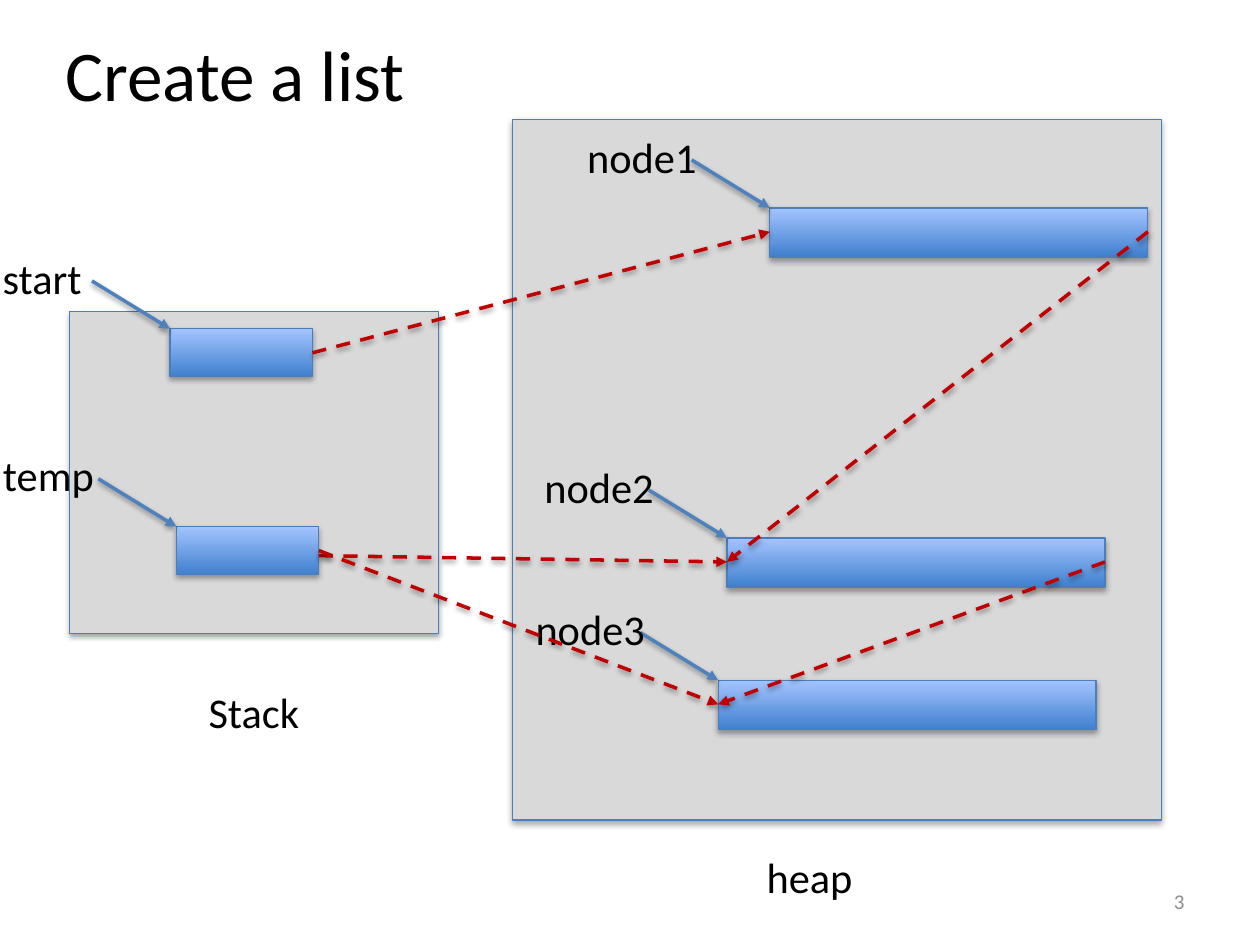
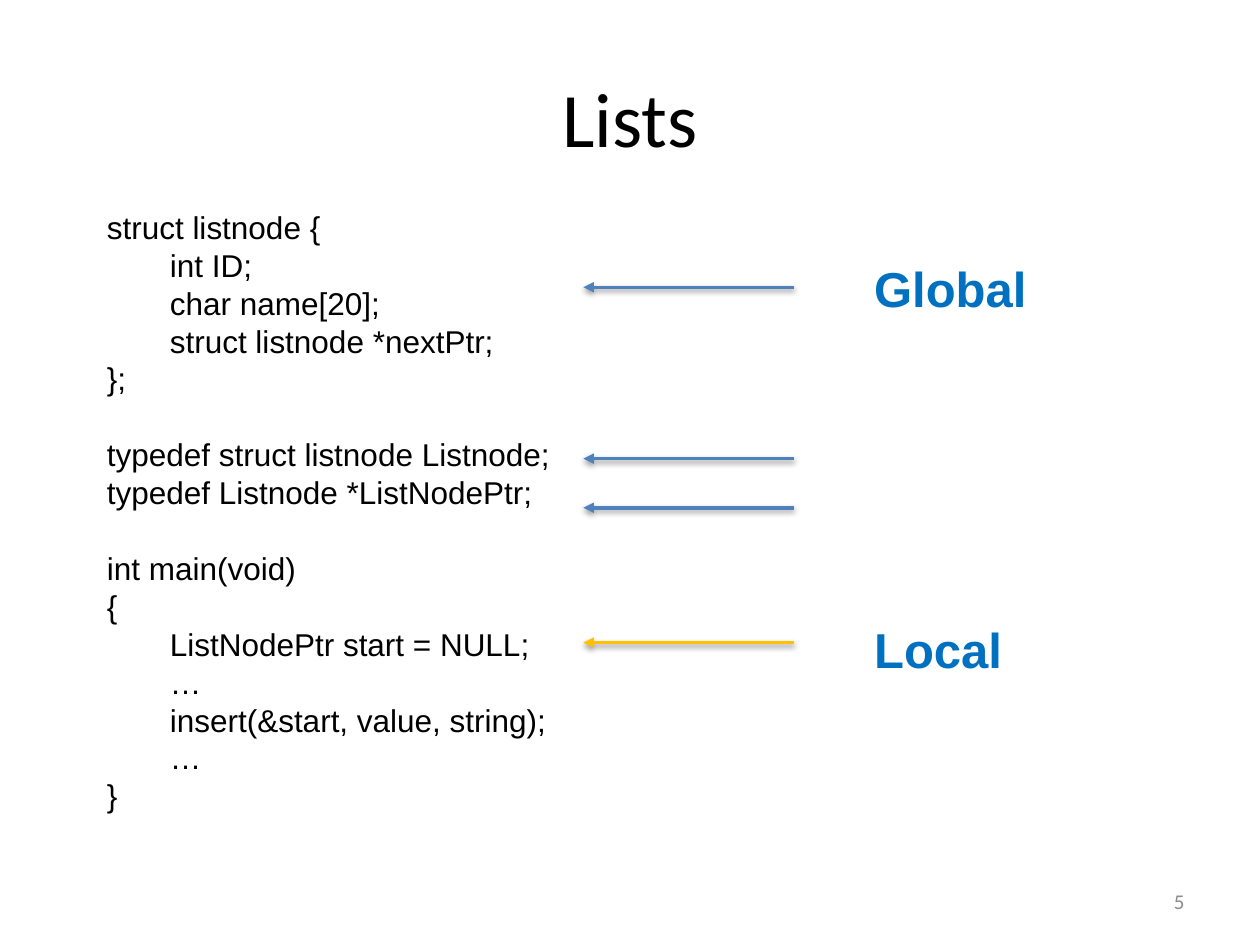
"""Two slides on linked lists: a memory diagram and the C declarations."""
from lxml.etree import SubElement
from pptx import Presentation
from pptx.dml.color import RGBColor
from pptx.enum.dml import MSO_LINE
from pptx.enum.shapes import MSO_CONNECTOR, MSO_SHAPE
from pptx.enum.text import MSO_ANCHOR, PP_ALIGN
from pptx.oxml.ns import qn
from pptx.util import Pt

PX = 9144
BLACK, GREY, PANEL = "000000", "8C8C8C", "D9D9D9"
EDGE, DARK, LIGHT = "4B7EBC", "3F80CE", "A4C4FF"
BLUE, RED, GOLD, TAG = "4F81BD", "C00000", "FFC000", "0070C0"
LEFT, MID, RIGHT = PP_ALIGN.LEFT, PP_ALIGN.CENTER, PP_ALIGN.RIGHT

AREAS = [
    ("heap", (407, 95, 515, 556), (515, 672, 255, 47)),
    ("Stack", (55, 247, 293, 256), (74, 541, 255, 47)),
]
SIZES = {"var": (113, 38), "node": (300, 39)}
CELLS = {
    "start": ("var", 135, 261),
    "temp": ("var", 140, 418),
    "node1": ("node", 611, 165),
    "node2": ("node", 577, 427),
    "node3": ("node", 570, 540),
}
LINKS = [
    ("start", "node1", 0),
    ("temp", "node2", 4),
    ("node1", "node2", 0),
    ("temp", "node3", 0),
    ("node2", "node3", 0),
]

CODE = [
    [(0, "struct listnode {"), (1, "int ID;"), (1, "char name[20];"),
     (1, "struct listnode *nextPtr;"), (0, "};")],
    [(0, "typedef struct listnode Listnode;"),
     (0, "typedef Listnode *ListNodePtr;")],
    [(0, "int main(void)"), (0, "{"), (1, "ListNodePtr start = NULL;"),
     (1, "…"), (1, "insert(&start, value, string);"), (1, "…"), (0, "}")],
]
LEAD = Pt(21.65)
MARKS = [(228, BLUE), (364, BLUE), (403, BLUE), (510, GOLD)]
SCOPES = [("Global", (684, 200, 216, 127)), ("Local", (684, 487, 204, 91))]


def tint(code):
    return RGBColor.from_string(code)


def emu(*nums):
    return [num * PX for num in nums]


def style(par, size, color, font, bold=False):
    for run in par.runs:
        run.font.size, run.font.name, run.font.bold = Pt(size), font, bold
        run.font.color.rgb = tint(color)


def frame(slide, area, anchor):
    body = slide.shapes.add_textbox(*emu(*area)).text_frame
    body.word_wrap, body.vertical_anchor = True, anchor
    return body


def label(slide, text, area, size=24.2, color=BLACK, font="Calibri",
          align=MID, anchor=MSO_ANCHOR.MIDDLE, bold=False):
    par = frame(slide, area, anchor).paragraphs[0]
    par.text, par.alignment = text, align
    style(par, size, color, font, bold)


def shade(effect, alpha, dist):
    shadow = SubElement(effect, qn("a:outerShdw"), blurRad="40000",
                        dist=str(dist), dir="5400000", rotWithShape="0")
    black = SubElement(shadow, qn("a:srgbClr"), val=BLACK)
    SubElement(black, qn("a:alpha"), val=str(alpha * 1000))


def box(slide, area, fill=None):
    shape = slide.shapes.add_shape(MSO_SHAPE.RECTANGLE, *emu(*area))
    if fill:
        shape.fill.solid()
        shape.fill.fore_color.rgb = tint(fill)
    else:
        shape.fill.gradient()
        shape.fill.gradient_angle = 90
        for stop, color in zip(shape.fill.gradient_stops, (DARK, LIGHT)):
            stop.color.rgb = tint(color)
    shape.line.color.rgb, shape.line.width = tint(EDGE), Pt(0.75)
    shape.shadow.inherit = False
    shade(shape._element.spPr.find(qn("a:effectLst")), 35, 23000)


def arrow(slide, start, end, color=BLUE, dash=False):
    wire = slide.shapes.add_connector(MSO_CONNECTOR.STRAIGHT,
                                      *emu(*start, *end))
    wire.line.color.rgb, wire.line.width = tint(color), Pt(2)
    if dash:
        wire.line.dash_style = MSO_LINE.DASH
    SubElement(wire.line._get_or_add_ln(), qn("a:tailEnd"), type="triangle")
    shade(SubElement(wire._element.spPr, qn("a:effectLst")), 38, 20000)


def page(deck, title, area, size, number):
    slide = deck.slides.add_slide(deck.slide_layouts[6])
    label(slide, title, area, size)
    label(slide, number, (717, 695, 233, 40), 12, GREY, align=RIGHT)
    return slide


def draw_heap(slide):
    for name, area, spot in AREAS:
        box(slide, area, PANEL)
        label(slide, name, spot)
    for name, (kind, x, y) in CELLS.items():
        box(slide, (x, y, *SIZES[kind]))
        arrow(slide, (x - 62, y - 38), (x, y))
        label(slide, name, (x - 165, y - 65, 127, 48))
    for source, target, drop in LINKS:
        kind, x, y = CELLS[source]
        wide, high = SIZES[kind]
        goal, left, top = CELLS[target]
        arrow(slide, (x + wide, y + high // 2 + drop),
              (left, top + SIZES[goal][1] // 2), RED, True)


def draw_code(slide):
    body = frame(slide, (75, 160, 867, 508), MSO_ANCHOR.TOP)
    lines = [(depth, text, part > 0 and row == 0)
             for part, block in enumerate(CODE)
             for row, (depth, text) in enumerate(block)]
    for num, (depth, text, gap) in enumerate(lines):
        par = body.add_paragraph() if num else body.paragraphs[0]
        par.text, par.line_spacing = text, LEAD
        par.space_before = LEAD if gap else Pt(0)
        par._p.get_or_add_pPr().set("marL", str(depth * 50 * PX))
        style(par, 18, BLACK, "Arial")
    for y, color in MARKS:
        arrow(slide, (630, y), (463, y), color)
    for text, area in SCOPES:
        label(slide, text, area, 28, TAG, "Arial", LEFT, MSO_ANCHOR.TOP, True)


def main():
    deck = Presentation()
    deck.slide_width, deck.slide_height = emu(1000, 750)
    draw_heap(page(deck, "Create a list", (25, 19, 323, 78), 40.7, "3"))
    draw_code(page(deck, "Lists", (50, 30, 900, 125), 44, "5"))
    deck.save("out.pptx")


if __name__ == "__main__":
    main()
